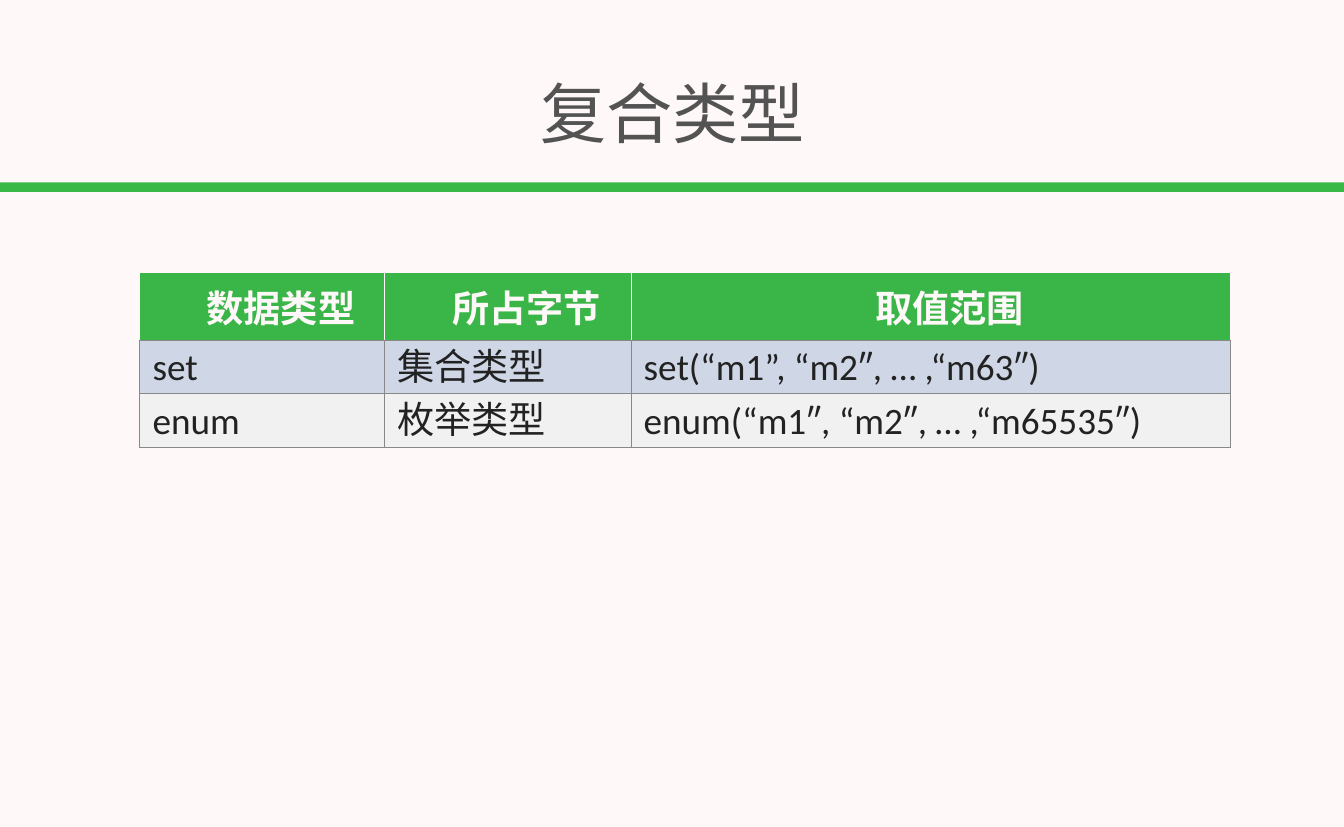
import dataclasses
import typing

import lxml.etree
import pptx
import pptx.dml.color
import pptx.enum.shapes
import pptx.enum.text
import pptx.oxml.ns
import pptx.util

Inches = pptx.util.Inches
Pt = pptx.util.Pt
ALIGN = pptx.enum.text.PP_ALIGN
MIDDLE = pptx.enum.text.MSO_ANCHOR.MIDDLE

FONT = "Calibri"
COLORS = {
    "paper": "FFF8F8",
    "bar": "39B747",
    "head": "39B647",
    "title": "535353",
    "text": "222222",
    "odd": "CFD7E7",
    "even": "F1F1F1",
    "grid": "888888",
}
WIDE, HIGH = 18.06, 11.11
COLS = (3.29, 3.31, 8.06)


@dataclasses.dataclass(frozen=True)
class Row:
    """One table row: its words, height, fill and role."""
    cells: tuple[str, ...]
    height: float
    fill: str
    head: bool = False


ROWS = (
    Row(("数据类型", "所占字节", "取值范围"), 0.91, "head", True),
    Row(("set", "集合类型", "set(“m1”, “m2″, … ,“m63″)"), 0.72, "odd"),
    Row(("enum", "枚举类型", "enum(“m1″, “m2″, … ,“m65535″)"), 0.72, "even"),
)


def paint(fill: typing.Any, name: str) -> None:
    """Make a fill solid in a named colour."""
    fill.solid()
    fill.fore_color.rgb = pptx.dml.color.RGBColor.from_string(COLORS[name])


def style(para: typing.Any, size: int, color: str, bold: bool = False) -> None:
    """Format every run of a paragraph."""
    for run in para.runs:
        run.font.name = FONT
        run.font.size = Pt(size)
        run.font.bold = bold
        paint(run.font.fill, color)


def inset(box: typing.Any, side: float, edge: float) -> None:
    """Set the left and right, then top and bottom margins."""
    box.margin_left = box.margin_right = Inches(side)
    box.margin_top = box.margin_bottom = Inches(edge)


def border(cell: typing.Any, sides: dict[str, str]) -> None:
    """Draw one-point cell borders, given a colour for each side."""
    props = cell._tc.get_or_add_tcPr()
    name = pptx.oxml.ns.qn
    for side, color in sides.items():
        line = lxml.etree.SubElement(props, name(f"a:ln{side}"), w=str(Pt(1)))
        fill = lxml.etree.SubElement(line, name("a:solidFill"))
        lxml.etree.SubElement(fill, name("a:srgbClr"), val=COLORS[color])


def draw_cell(cell: typing.Any, text: str, row: Row) -> None:
    """Fill in one cell in the style of its row."""
    edge = "paper" if row.head else "grid"
    border(cell, {"L": edge, "R": edge, "T": edge, "B": "grid"})
    paint(cell.fill, row.fill)
    cell.vertical_anchor = MIDDLE
    cell.text_frame.text = text
    para = cell.text_frame.paragraphs[0]
    if row.head:
        inset(cell, 0, 0)
        para.alignment = ALIGN.CENTER
        para._p.get_or_add_pPr().set("indent", str(Inches(0.5)))
    else:
        inset(cell, 0.17, 0.04)
        para.line_spacing = Pt(46)
    style(para, 36, "paper" if row.head else "text", row.head)


def draw_grid(slide: typing.Any) -> None:
    """Add the table of data types."""
    high = sum(row.height for row in ROWS)
    grid = slide.shapes.add_table(
        len(ROWS), len(COLS), Inches(1.88), Inches(3.66),
        Inches(sum(COLS)), Inches(high)).table
    for col, width in zip(grid.columns, COLS):
        col.width = Inches(width)
    for line, row in zip(grid.rows, ROWS):
        line.height = Inches(row.height)
        for cell, text in zip(line.cells, row.cells):
            draw_cell(cell, text, row)


def draw_bar(slide: typing.Any) -> None:
    """Add the green bar below the title."""
    bar = slide.shapes.add_shape(
        pptx.enum.shapes.MSO_SHAPE.RECTANGLE,
        Inches(0), Inches(2.45), Inches(WIDE), Inches(0.13))
    bar.shadow.inherit = False
    paint(bar.fill, "bar")
    bar.line.fill.background()


def draw_title(slide: typing.Any) -> None:
    """Add the centred title."""
    frame = slide.shapes.add_textbox(
        Inches(0.05), Inches(0.8), Inches(17.97), Inches(1.42)).text_frame
    frame.word_wrap = True
    frame.vertical_anchor = MIDDLE
    inset(frame, 0.05, 0.05)
    frame.text = "复合类型"
    para = frame.paragraphs[0]
    para.alignment = ALIGN.CENTER
    style(para, 64, "title")


def main() -> None:
    """Build the slide and save it."""
    deck = pptx.Presentation()
    deck.slide_width, deck.slide_height = Inches(WIDE), Inches(HIGH)
    slide = deck.slides.add_slide(deck.slide_layouts[6])
    paint(slide.background.fill, "paper")
    draw_bar(slide)
    draw_title(slide)
    draw_grid(slide)
    deck.save("out.pptx")


main()
